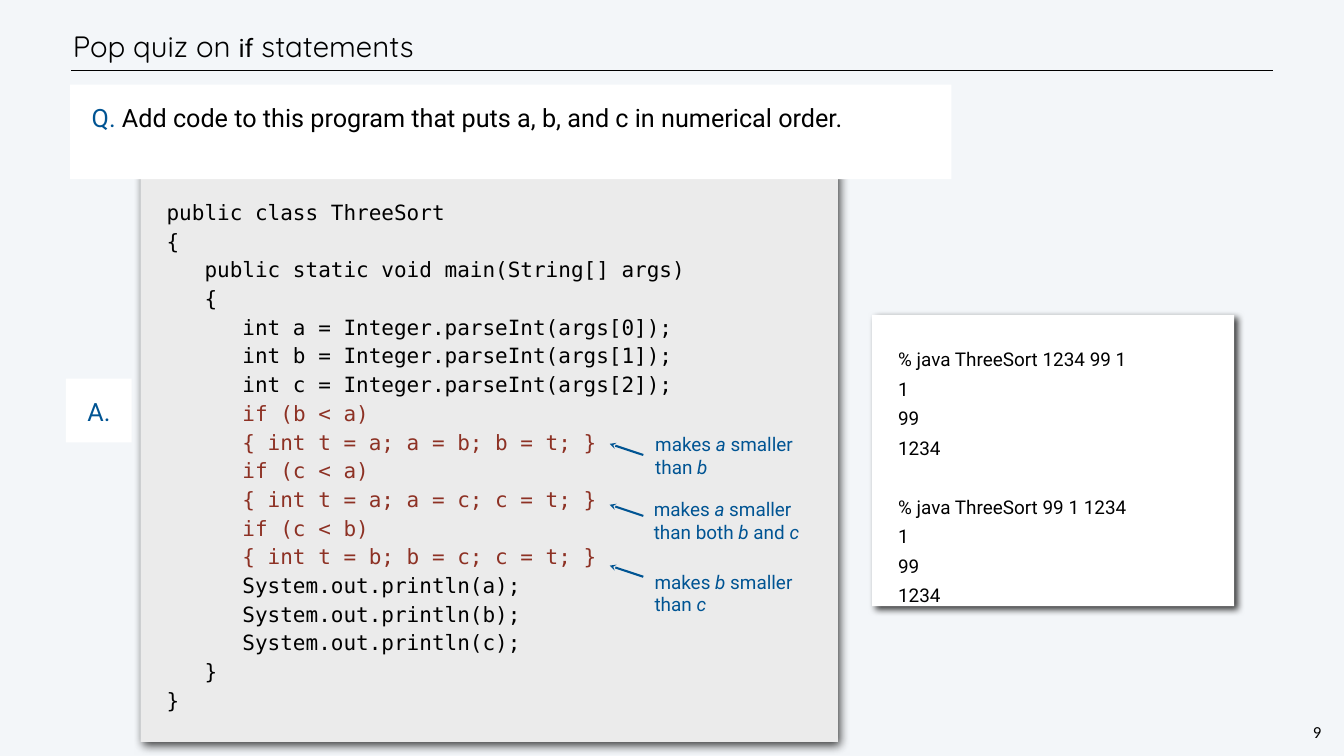
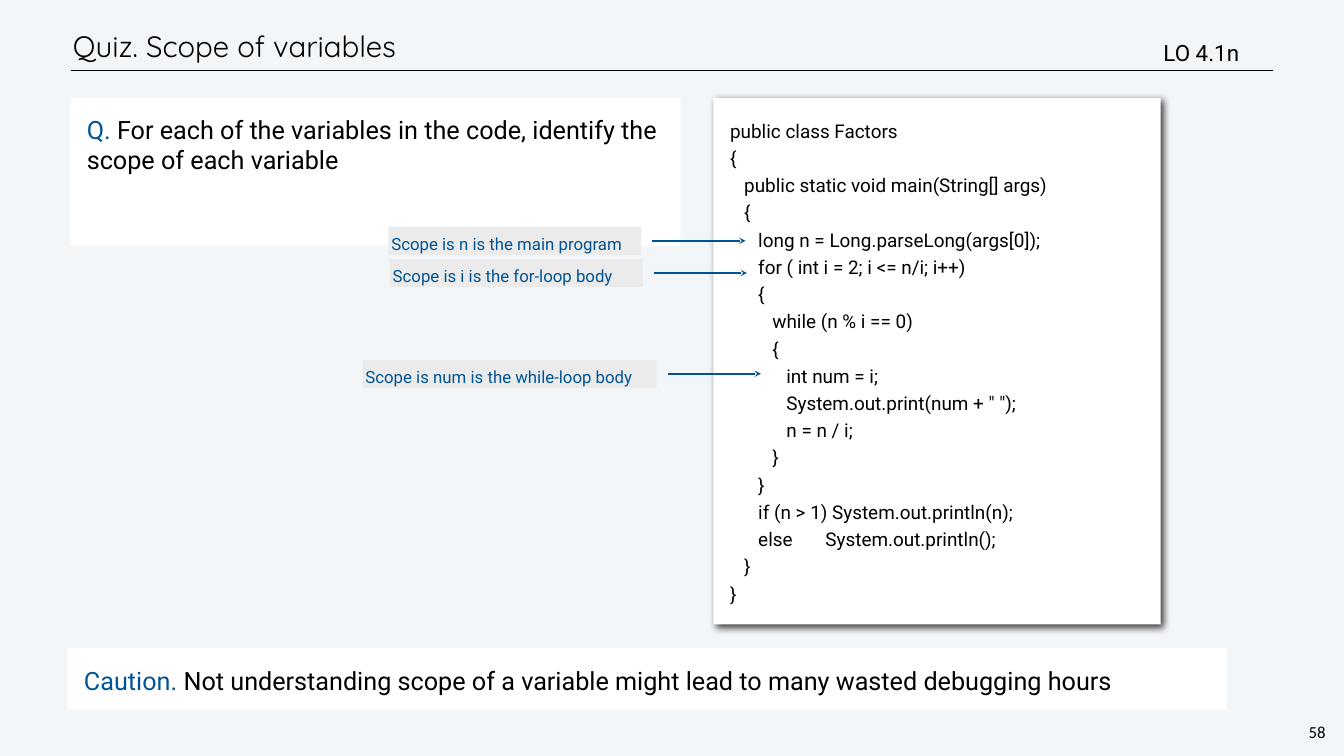
from dataclasses import dataclass
from pptx import Presentation
from pptx.dml.color import RGBColor as RGB
from pptx.enum.shapes import MSO_CONNECTOR as LINK, MSO_SHAPE as SHAPE
from pptx.enum.text import MSO_ANCHOR as ANCHOR, PP_ALIGN as ALIGN
from pptx.oxml import parse_xml
from pptx.oxml.ns import nsdecls, qn
from pptx.util import Pt


@dataclass
class Theme:
    back: str = "F3F6F9"
    ink: str = "000000"
    blue: str = "005493"
    red: str = "8D3124"
    gray: str = "EBEBEB"
    white: str = "FFFFFF"
    sans: str = "Roboto"
    head: str = "Quicksand"
    mono: str = "DejaVu Sans Mono"
    page: str = "Calibri"
    title: int = 42
    ask: int = 36
    mark: int = 32
    code: int = 30
    note: int = 27
    small: int = 24


def add_box(slide, at, text, size, space=1.0, font=None, ink=None, fill=None,
            pad=4, lead=0, blur=0, wrap=True, anchor=ANCHOR.TOP,
            align=ALIGN.LEFT, alt=None):
    place = [Pt(v) for v in at]
    if fill:
        box = slide.shapes.add_shape(SHAPE.RECTANGLE, *place)
        box.fill.solid()
        box.fill.fore_color.rgb = RGB.from_string(fill)
        box.line.fill.background()
        box.shadow.inherit = False
        if blur:
            box._element.spPr.find(qn("a:effectLst")).append(parse_xml(
                f'<a:outerShdw {nsdecls("a")} blurRad="{Pt(blur)}" dist="{Pt(6)}" '
                f'dir="2700000" algn="tl" rotWithShape="0"><a:srgbClr val="{theme.ink}">'
                '<a:alpha val="75000"/></a:srgbClr></a:outerShdw>'))
    else:
        box = slide.shapes.add_textbox(*place)
    frame = box.text_frame
    frame.word_wrap = wrap
    frame.vertical_anchor = anchor
    frame.margin_left = Pt(pad + lead)
    frame.margin_right = frame.margin_top = frame.margin_bottom = Pt(pad)
    for num, line in enumerate(text.split("\n")):
        para = frame.paragraphs[0] if num == 0 else frame.add_paragraph()
        para.alignment = align
        para.line_spacing = space if isinstance(space, float) else Pt(space)
        for odd, part in enumerate(line.split("|")):
            if not part:
                continue
            run = para.add_run()
            run.text = part
            look = {"size": size, "font": font or theme.sans, "ink": ink or theme.ink,
                    "slant": False}
            if odd % 2:
                look.update(alt)
            run.font.size = Pt(look["size"])
            run.font.name = look["font"]
            run.font.italic = look["slant"]
            run.font.color.rgb = RGB.from_string(look["ink"])
    return box


def add_line(slide, start, end, ink, width, arrow=False):
    line = slide.shapes.add_connector(LINK.STRAIGHT, *[Pt(v) for v in (*start, *end)])
    line.line.color.rgb = RGB.from_string(ink)
    line.line.width = Pt(width)
    props = line._element.spPr
    if arrow:
        props.find(qn("a:ln")).append(
            parse_xml(f'<a:headEnd {nsdecls("a")} type="stealth"/>'))
    props.append(parse_xml(f'<a:effectLst {nsdecls("a")}/>'))


theme = Theme()
deck = Presentation()
deck.slide_width, deck.slide_height = Pt(1920), Pt(1080)

slides = []
for title, page in [("Pop quiz on |if| statements", "9"),
                    ("Quiz. Scope of variables", "58")]:
    slide = deck.slides.add_slide(deck.slide_layouts[6])
    slide.background.fill.solid()
    slide.background.fill.fore_color.rgb = RGB.from_string(theme.back)
    add_line(slide, (102, 101), (1819, 101), theme.ink, 1)
    add_box(slide, (100, 30, 1629, 71), title, theme.title, 50, font=theme.head,
            anchor=ANCHOR.MIDDLE, alt={"font": theme.sans, "size": theme.ask})
    add_box(slide, (1866, 1029, 31, 34), page, theme.small, 28, font=theme.page,
            pad=3, wrap=False, align=ALIGN.CENTER)
    slides.append(slide)
sort, scope = slides
lead = {"ink": theme.blue}

code = """public class ThreeSort
{
   public static void main(String[] args)
   {
      int a = Integer.parseInt(args[0]);
      int b = Integer.parseInt(args[1]);
      int c = Integer.parseInt(args[2]);
      |if (b < a)
|      { int t = a; a = b; b = t; }
|      if (c < a)
|      { int t = a; a = c; c = t; }
|      if (c < b)
|      { int t = b; b = c; c = t; }
      System.out.println(a);
      System.out.println(b);
      System.out.println(c);
   }
}"""
add_box(sort, (201, 243, 996, 817), code, theme.code, 41, font=theme.mono,
        fill=theme.gray, pad=37, blur=13, alt={"ink": theme.red})
add_box(sort, (100, 121, 1259, 135),
        "|Q. |Add code to this program that puts a, b, and c in numerical order.",
        theme.ask, 44, fill=theme.white, pad=24, lead=7, alt=lead)
shell = """% java ThreeSort 1234 99 1
1
99
1234
% java ThreeSort 99 1 1234
1
99
1234"""
runs = add_box(sort, (1246, 450, 517, 416), shell, theme.note, 1.3,
               fill=theme.white, pad=37, blur=10)
runs.text_frame.paragraphs[4].space_before = Pt(42)
add_box(sort, (94, 541, 94, 91), "A.", theme.ask, 44, ink=theme.blue,
        fill=theme.white, pad=24, lead=7)

notes = [(932, 615, "makes |a| smaller\nthan |b"),
         (930, 708, "makes |a| smaller\nthan both |b| and |c"),
         (931, 811, "makes |b| smaller\nthan |c")]
for row, (left, top, text) in enumerate(notes):
    add_box(sort, (left, top, 240, 72), text, theme.note, 32, ink=theme.blue,
            wrap=False, alt={"slant": True})
    y = 634 + 87 * row
    add_line(sort, (871, y), (919, y + 16), theme.blue, 3, arrow=True)

code = """public class Factors
{
   public static void main(String[] args)
   {
      long n = Long.parseLong(args[0]);
      for ( int i = 2; i <= n/i; i++)
      {
         while (n % i == 0)
         {
            int num = i;
            System.out.print(num + " ");
            n = n / i;
         }
      }
      if (n > 1) System.out.println(n);
      else       System.out.println();
   }
}"""
add_box(scope, (1019, 140, 639, 752), code, theme.note, 1.2, fill=theme.white,
        pad=24, blur=10)
for at, text in [
        ((100, 140, 872, 211), "|Q. |For each of the variables in the code, "
                               "identify the scope of each variable"),
        ((96, 926, 1656, 88), "|Caution. |Not understanding scope of a variable "
                              "might lead to many wasted debugging hours")]:
    add_box(scope, at, text, theme.ask, 43, fill=theme.white, pad=24, alt=lead)
add_box(scope, (1658, 52, 215, 47), "LO 4.1n", theme.mark, anchor=ANCHOR.MIDDLE)

for left, top, width, text in [
        (555, 324, 361, "Scope is n is the main program"),
        (557, 370, 361, "Scope is i is the for-loop body"),
        (518, 514, 420, "Scope is num is the while-loop body")]:
    add_box(scope, (left, top, width, 40), text, theme.small, 35, ink=theme.blue,
            fill=theme.gray)
    tail, y = left + width + 16, top + 20
    add_line(scope, (tail + 133, y), (tail, y), theme.blue, 3, arrow=True)

deck.save("out.pptx")
